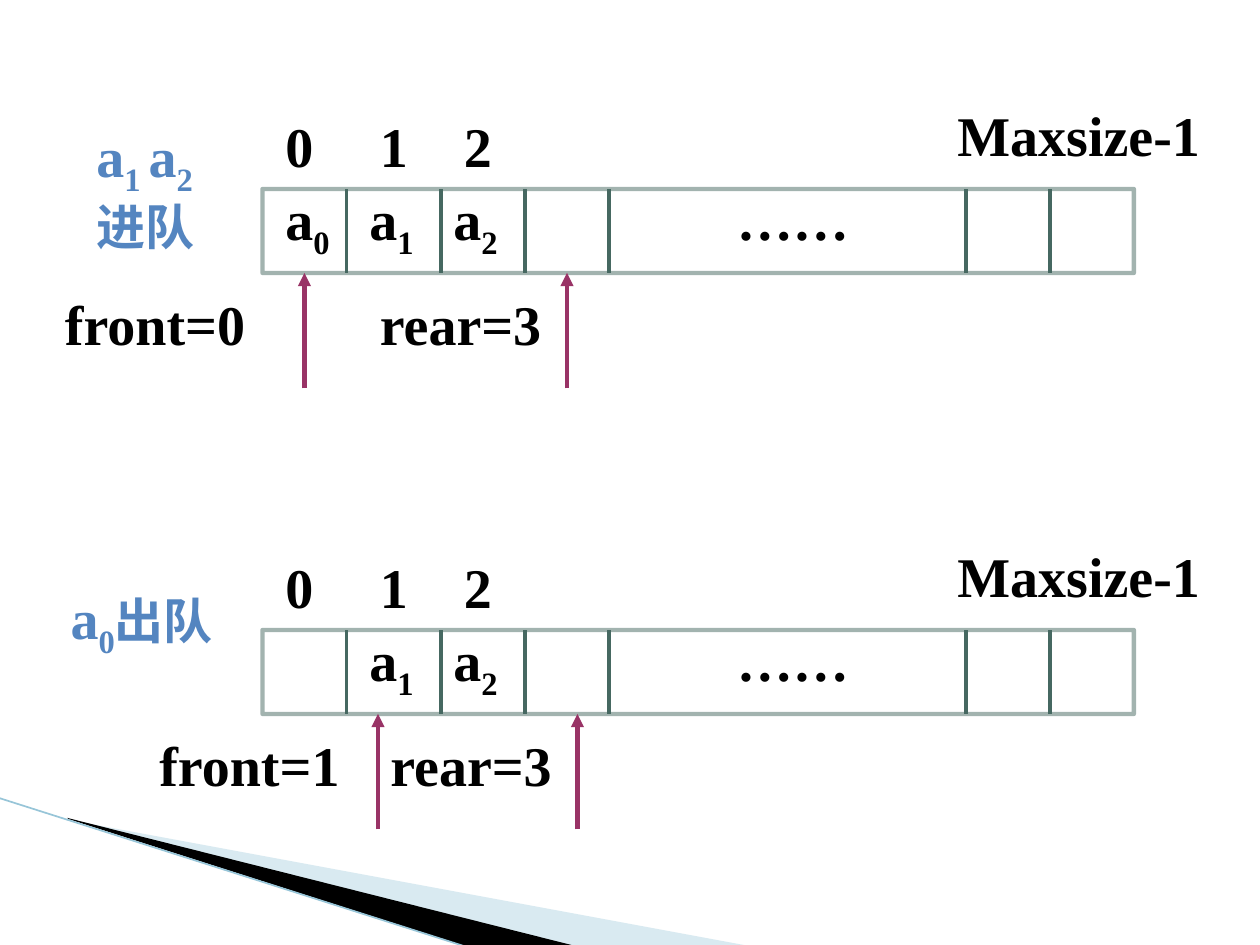
from lxml import etree
from pptx import Presentation
from pptx.dml.color import RGBColor
from pptx.enum.shapes import MSO_CONNECTOR, MSO_SHAPE
from pptx.enum.text import MSO_AUTO_SIZE, PP_ALIGN
from pptx.oxml.ns import qn
from pptx.util import Pt

PX = 7620  # 120 px to the inch
BLACK = RGBColor(0x00, 0x00, 0x00)
BLUE = RGBColor(0x54, 0x85, 0xC0)
GREEN = RGBColor(0x46, 0x68, 0x61)
PLUM = RGBColor(0x99, 0x33, 0x66)
PALE_BLUE = RGBColor(0xA0, 0xCB, 0xDC)
EDGE_BLUE = RGBColor(0x97, 0xC5, 0xD8)

BAR_LEFT, BAR_WIDTH, BAR_HEIGHT = 250, 830, 80
DIVIDERS = (330, 420, 500, 580, 920, 1000)
INDEX_LEFTS = (260, 350, 430)
CELL_LEFTS = (260, 340, 420)
TEXT_HEIGHT = 76


def emu(*lengths):
    return [length * PX for length in lengths]


def set_alpha(properties, percent):
    color = next(properties.iter(qn("a:srgbClr")))
    etree.SubElement(color, qn("a:alpha"), val=str(percent * 1000))


def add_wedge(slide, points, color, opacity=100):
    builder = slide.shapes.build_freeform(*points[0], scale=PX)
    builder.add_line_segments(points[1:], close=True)
    shape = builder.convert_to_shape()
    shape.shadow.inherit = False
    shape.fill.solid()
    shape.fill.fore_color.rgb = color
    shape.line.fill.background()
    if opacity < 100:
        set_alpha(shape.fill._xPr, opacity)


def add_line(shapes, start, end, color, width, arrow=False):
    line = shapes.add_connector(MSO_CONNECTOR.STRAIGHT, *emu(*start, *end))
    line.line.color.rgb = color
    line.line.width = Pt(width)
    properties = line._element.spPr
    if arrow:
        etree.SubElement(line.line._get_or_add_ln(), qn("a:tailEnd"), type="triangle")
    etree.SubElement(properties, qn("a:effectLst"))


def add_runs(paragraph, runs, color):
    """Each run is (text, size, is_subscript)."""
    for text, size, is_subscript in runs:
        run = paragraph.add_run()
        run.text = text
        formats = {"name": "Times New Roman", "size": Pt(size), "bold": True}
        for name, value in formats.items():
            setattr(run.font, name, value)
        run.font.color.rgb = color
        if is_subscript:
            run.font._element.set("baseline", "-25000")


def add_text(shapes, left, top, width, runs, color=BLACK, height=TEXT_HEIGHT):
    box = shapes.add_textbox(*emu(left, top, width, height))
    frame = box.text_frame
    frame.word_wrap = True
    frame.auto_size = MSO_AUTO_SIZE.SHAPE_TO_FIT_TEXT
    if isinstance(runs, str):
        runs = [(runs, 32, False)]
    add_runs(frame.paragraphs[0], runs, color)
    return frame


def element(index):
    return [("a", 32, False), (str(index), 32, True)]


def add_pointer(shapes, label, left, width, top, arrow_x):
    add_text(shapes, left, top + 90, width, label)
    add_line(shapes, (arrow_x, top + 190), (arrow_x, top + BAR_HEIGHT), PLUM, 2.5, arrow=True)


def add_queue(slide, top, filled, pointers):
    shapes = slide.shapes.add_group_shape().shapes
    # Array bar and its cells
    bar = shapes.add_shape(MSO_SHAPE.RECTANGLE, *emu(BAR_LEFT, top, BAR_WIDTH, BAR_HEIGHT))
    bar.shadow.inherit = False
    bar.fill.background()
    bar.line.color.rgb = GREEN
    bar.line.width = Pt(2.5)
    set_alpha(bar.line._get_or_add_ln(), 50)
    for x in DIVIDERS:
        add_line(shapes, (x, top), (x, top + BAR_HEIGHT), GREEN, 2.25)
    # Contents and indices
    add_text(shapes, 690, top - 10, 150, "……")
    for index in filled:
        add_text(shapes, CELL_LEFTS[index], top - 10, 100, element(index))
    for index, left in enumerate(INDEX_LEFTS):
        add_text(shapes, left, top - 80, 60, str(index))
    add_text(shapes, 900, top - 90, 260, "Maxsize-1")
    # Front and rear
    for label, left, width, arrow_x in pointers:
        add_pointer(shapes, label, left, width, top, arrow_x)
    return shapes


def main():
    presentation = Presentation()
    presentation.slide_width, presentation.slide_height = emu(1200, 900)
    slide = presentation.slides.add_slide(presentation.slide_layouts[6])

    # Corner decoration
    add_wedge(slide, [(66, 781), (714, 901), (547, 901), (66, 780)], PALE_BLUE, 40)
    add_wedge(slide, [(64, 779), (548, 901), (446, 902), (65, 780)], BLACK)
    add_line(slide.shapes, (-1, 760), (445, 902), EDGE_BLUE, 0.95)

    # After a1 and a2 enter
    enqueue = add_queue(slide, 180, (0, 1, 2),
                        [("front=0", 50, 270, 290), ("rear=3", 350, 230, 540)])
    runs = [("a", 32, False), ("1 ", 32, True)] + element(2)
    frame = add_text(enqueue, 80, 110, 200, runs, BLUE, height=132)
    paragraph = frame.add_paragraph()
    paragraph.line_spacing = 0.85
    paragraph.space_before = Pt(4)
    add_runs(paragraph, [("进队", 28, False)], BLUE)

    # After a0 leaves
    dequeue = add_queue(slide, 600, (1, 2),
                        [("front=1", 140, 250, 360), ("rear=3", 360, 230, 550)])
    frame = add_text(dequeue, 40, 550, 190, element(0) + [("出队", 28, False)], BLUE)
    frame.paragraphs[0].alignment = PP_ALIGN.CENTER

    presentation.save("out.pptx")


if __name__ == "__main__":
    main()
